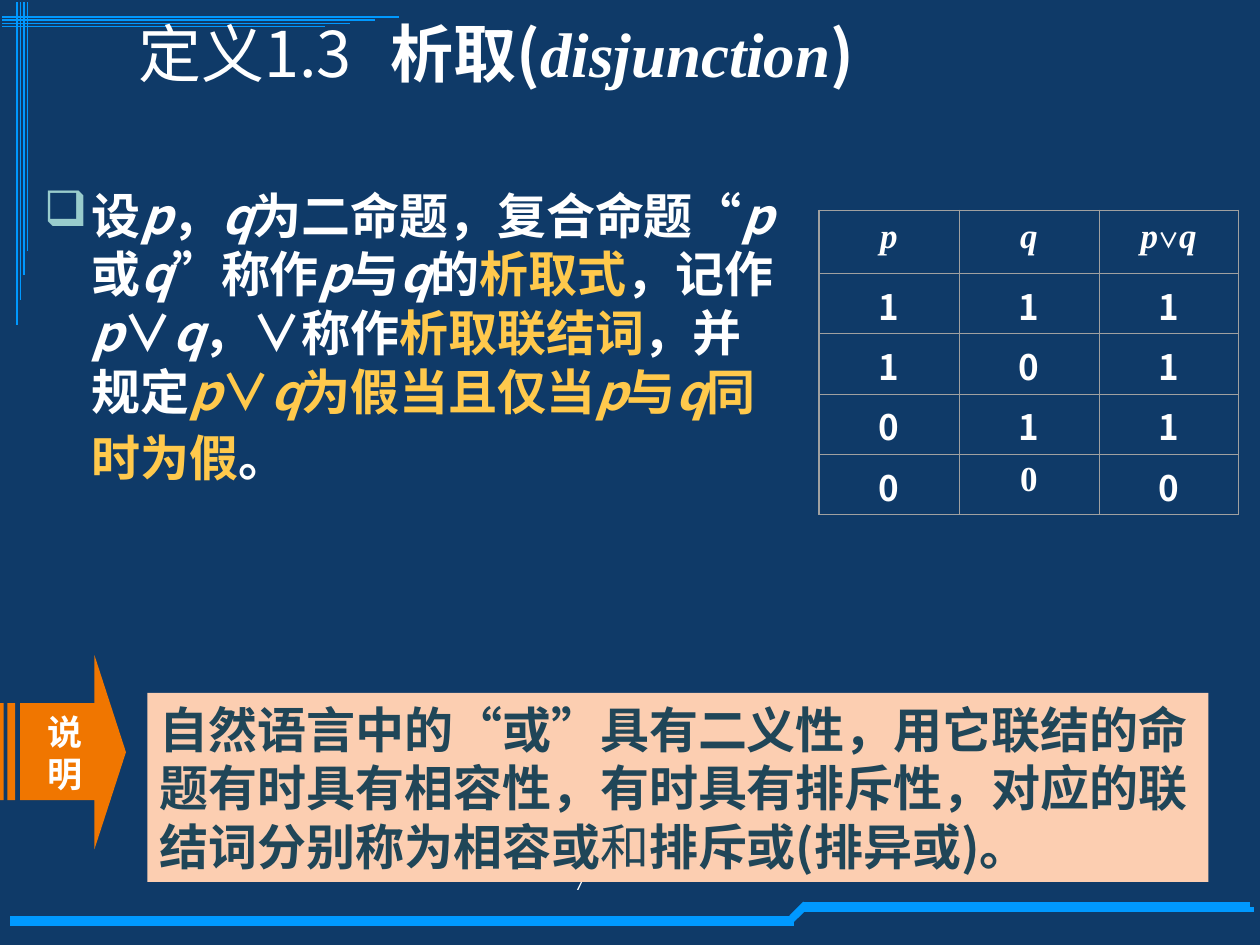
from dataclasses import dataclass
from itertools import groupby

from lxml import etree
from pptx import Presentation
from pptx.dml.color import RGBColor
from pptx.enum.shapes import MSO_CONNECTOR, MSO_SHAPE
from pptx.enum.text import MSO_ANCHOR, PP_ALIGN
from pptx.oxml.ns import qn
from pptx.util import Inches, Pt

STRAIGHT = MSO_CONNECTOR.STRAIGHT
RECTANGLE = MSO_SHAPE.RECTANGLE
TOP, MIDDLE = MSO_ANCHOR.TOP, MSO_ANCHOR.MIDDLE
LEFT, CENTER = PP_ALIGN.LEFT, PP_ALIGN.CENTER
COLUMNS = 100
SLIDE_WIDTH, SLIDE_HEIGHT = Inches(10), Inches(7.5)


@dataclass(frozen=True)
class Theme:
    background: str = "0F3A68"
    rule: str = "0099FF"
    text: str = "FFFFFF"
    term: str = "FFC94C"
    bullet: str = "99CCCC"
    note_fill: str = "FCCEB1"
    note_text: str = "204658"
    arrow: str = "F07600"
    border: str = "A0A0A0"
    chinese: str = "Noto Sans CJK SC"
    serif: str = "Times New Roman"
    sans: str = "Arial"
    title_size: int = 36
    body_size: int = 28
    body_end_size: int = 32
    table_size: int = 20
    operator_size: int = 12
    number_size: int = 14


THEME = Theme()


def grid(units):
    return round(SLIDE_WIDTH * units / COLUMNS)


def rgb(value):
    return RGBColor.from_string(value)


def add_span(para, text, size, font=THEME.chinese, color=THEME.text, bold=True, italic=False):
    span = para.add_run()
    span.text = text
    span.font.size = Pt(size)
    span.font.name = font
    span.font.bold = bold
    span.font.italic = italic
    span.font.color.rgb = rgb(color)
    properties = span.font._element
    properties.set("lang", "zh-CN")
    latin = properties.find(qn("a:latin"))
    latin.addnext(etree.Element(qn("a:ea"), typeface=font))


def add_formula_text(para, text, size, color):
    for is_variable, letters in groupby(text, lambda letter: letter in "pq"):
        add_span(para, "".join(letters), size, color=color, italic=is_variable)


def first_para(frame, align=LEFT):
    frame.word_wrap = True
    para = frame.paragraphs[0]
    para.alignment = align
    return para


def add_text_box(page, left, top, width, height):
    return page.shapes.add_textbox(*map(grid, (left, top, width, height))).text_frame


def add_rule(page, start, end, weight):
    rule = page.shapes.add_connector(STRAIGHT, *map(grid, (*start, *end)))
    rule.line.color.rgb = rgb(THEME.rule)
    rule.line.width = Pt(weight)
    etree.SubElement(rule._element.spPr, qn("a:effectLst"))


def style_shape(shape, fill):
    shape.shadow.inherit = False
    shape.fill.solid()
    shape.fill.fore_color.rgb = rgb(fill)
    shape.line.fill.background()


def add_rules(page):
    footer = [
        ((0.8, 72.9), (63, 72.9)), ((0.8, 73.3), (63, 73.3)),
        ((62.8, 72.8), (63.9, 71.7)), ((62.7, 73.2), (63.8, 72.1)),
        ((63.8, 71.8), (99.2, 71.8)), ((63.7, 72.2), (99.5, 72.2)),
    ]
    for start, end in footer:
        add_rule(page, start, end, 3)
    for step in range(4):
        top, left = 1.36 + 0.24 * step, 1.36 + 0.27 * step
        add_rule(page, (0.2, top), (31.7 - 1.97 * step, top), 0.75)
        add_rule(page, (left, 0.2), (left, 25.8 - 1.97 * step), 0.75)


def add_page_number(page):
    para = first_para(add_text_box(page, 34.4, 68.2, 23.3, 5.2), CENTER)
    add_span(para, "7", THEME.number_size, THEME.serif, bold=False)


def add_title(page):
    frame = add_text_box(page, 10, 0, 90, 8.3)
    frame.vertical_anchor = MIDDLE
    para = first_para(frame)
    tabs = etree.SubElement(para._p.get_or_add_pPr(), qn("a:tabLst"))
    etree.SubElement(tabs, qn("a:tab"), pos=str(grid(20)), algn="l")
    add_span(para, "定义1.3\t", THEME.title_size, bold=False)
    add_span(para, "析取(", THEME.title_size)
    add_span(para, "disjunction", THEME.title_size, THEME.serif, italic=True)
    add_span(para, ")", THEME.title_size)


def add_definition(page):
    frame = add_text_box(page, 2.5, 14.2, 60, 26.7)
    para = first_para(frame)
    properties = para._p.get_or_add_pPr()
    properties.set("marL", str(grid(3.8)))
    properties.set("indent", str(-grid(3.8)))
    bullet_color = etree.SubElement(properties, qn("a:buClr"))
    etree.SubElement(bullet_color, qn("a:srgbClr"), val=THEME.bullet)
    etree.SubElement(properties, qn("a:buChar"), char="❑")
    for text, color in [
        ("设p，q为二命题，复合命题“p或q”称作p与q的", THEME.text),
        ("析取式", THEME.term),
        ("，记作p∨q，∨称作", THEME.text),
        ("析取联结词", THEME.term),
        ("，并规定", THEME.text),
        ("p∨q为假当且仅当p与q同时为假", THEME.term),
        ("。", THEME.text),
    ]:
        add_formula_text(para, text, THEME.body_size, color)
    add_span(para, " ", THEME.body_end_size)


def add_note(page):
    box = page.shapes.add_shape(RECTANGLE, *map(grid, (11.7, 55, 84.2, 15)))
    style_shape(box, THEME.note_fill)
    box.text_frame.vertical_anchor = TOP
    para = first_para(box.text_frame)
    for text, bold in [
        ("自然语言中的“或”具有二义性，用它联结的命题有时具有相容性，"
         "有时具有排斥性，对应的联结词分别称为相容或", True),
        ("和", False),
        ("排斥或(排异或)。", True),
    ]:
        add_span(para, text, THEME.body_size, color=THEME.note_text, bold=bold)


def add_note_arrow(page):
    top, bottom = 55.8, 63.5
    head = [(1.6, top), (7.5, top), (7.5, 52), (10, 59.7), (7.5, 67.4), (7.5, bottom), (1.6, bottom)]
    stripes = [[(left, top), (right, top), (right, bottom), (left, bottom)]
               for left, right in ((0, 0.3), (0.6, 1.2))]
    builder = page.shapes.build_freeform(*map(grid, head[0]))
    for outline in [head, *stripes]:
        points = [tuple(map(grid, point)) for point in outline]
        if outline is not head:
            builder.move_to(*points[0])
        builder.add_line_segments(points[1:], close=True)
    arrow = builder.convert_to_shape()
    style_shape(arrow, THEME.arrow)
    frame = arrow.text_frame
    frame.margin_left, frame.margin_right = grid(3.1), grid(2.8)
    frame.vertical_anchor = MIDDLE
    add_span(first_para(frame, CENTER), "说明", THEME.table_size, THEME.sans)


def set_borders(cell, outer_sides):
    properties = cell._tc.get_or_add_tcPr()
    for position, side in enumerate(("lnL", "lnR", "lnT", "lnB")):
        weight = Pt(1 if side in outer_sides else 0.25)
        line = etree.Element(qn(f"a:{side}"), w=str(weight))
        fill = etree.SubElement(line, qn("a:solidFill"))
        etree.SubElement(fill, qn("a:srgbClr"), val=THEME.border)
        properties.insert(position, line)


def add_truth_table(page):
    rows = [("p", "q", "p∨q"), "111", "101", "011", "000"]
    heights = [5] + [4.78] * 4
    last_row, last_column = len(rows) - 1, len(rows[0]) - 1
    table = page.shapes.add_table(
        len(rows), len(rows[0]), *map(grid, (65, 16.7, 33.3, sum(heights)))).table
    table.first_row = table.horz_banding = False
    for row, height in zip(table.rows, heights):
        row.height = grid(height)
    for row_index, values in enumerate(rows):
        for column_index, value in enumerate(values):
            cell = table.cell(row_index, column_index)
            cell.fill.background()
            cell.margin_bottom = 0
            edges = {"lnL": column_index == 0, "lnR": column_index == last_column,
                     "lnT": row_index == 0, "lnB": row_index == last_row}
            set_borders(cell, [side for side, outer in edges.items() if outer])
            para = first_para(cell.text_frame, CENTER)
            for letter in value:
                is_operator = letter == "∨"
                is_serif = letter in "pq" or (row_index, column_index) == (last_row, 1)
                add_span(para, letter,
                         THEME.operator_size if is_operator else THEME.table_size,
                         THEME.serif if is_serif else THEME.chinese,
                         italic=letter in "pq")


def main():
    deck = Presentation()
    deck.slide_width, deck.slide_height = SLIDE_WIDTH, SLIDE_HEIGHT
    page = deck.slides.add_slide(deck.slide_layouts[6])
    page.background.fill.solid()
    page.background.fill.fore_color.rgb = rgb(THEME.background)
    for add_part in (add_rules, add_page_number, add_title, add_definition,
                     add_note, add_note_arrow, add_truth_table):
        add_part(page)
    deck.save("out.pptx")


if __name__ == "__main__":
    main()
